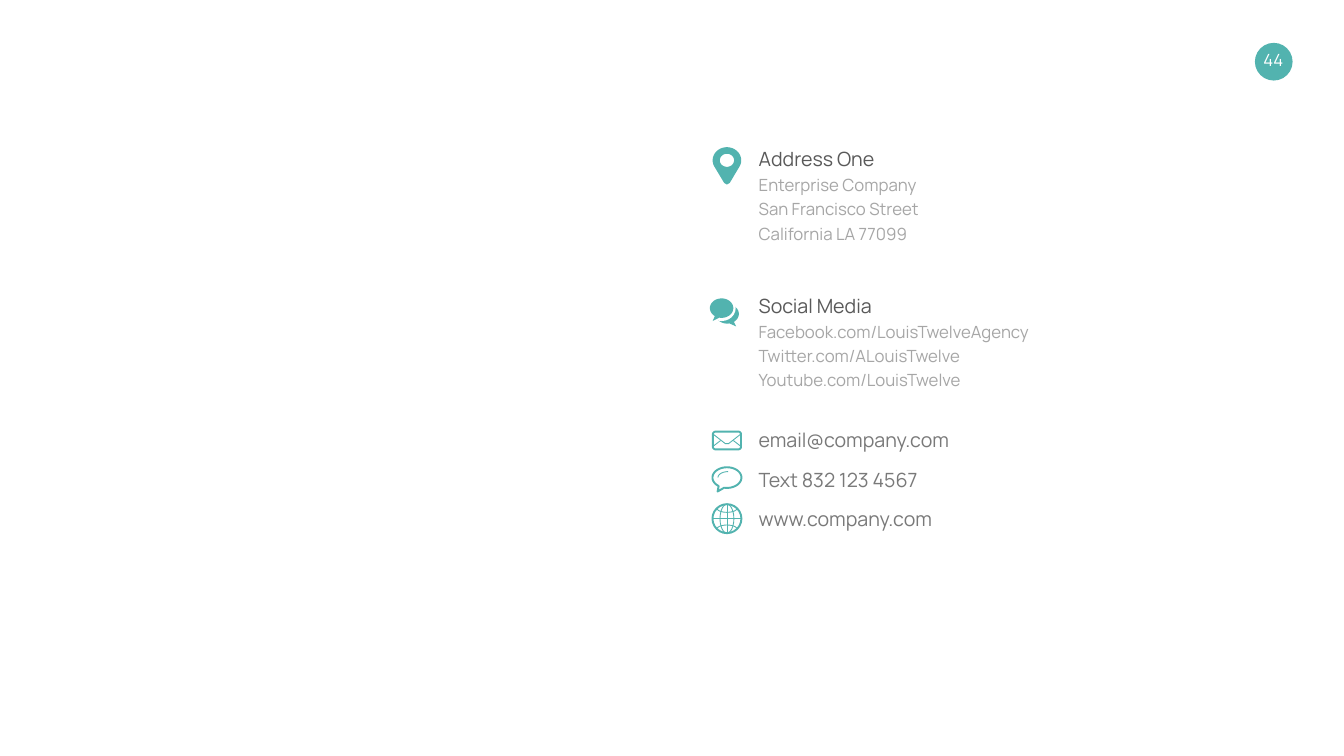
from math import cos, radians, sin

from lxml import etree
from pptx import Presentation
from pptx.dml.color import RGBColor
from pptx.enum import shapes, text
from pptx.oxml.ns import qn
from pptx.util import Cm, Pt

# Content
PAGE = "44"
BLOCKS = [
    ("Address One", "Enterprise Company", "San Francisco Street", "California LA 77099"),
    ("Social Media", "Facebook.com/LouisTwelveAgency", "Twitter.com/ALouisTwelve",
     "Youtube.com/LouisTwelve"),
]
CONTACTS = ["email@company.com", "Text 832 123 4567", "www.company.com"]

THEME = {
    "font": "Manrope",
    "accent": RGBColor(0x52, 0xB3, 0xAF),
    "white": RGBColor(0xFF, 0xFF, 0xFF),
    "heading": {"size": Pt(28), "color": RGBColor(0x59, 0x59, 0x59)},
    "detail": {"size": Pt(24), "color": RGBColor(0xA6, 0xA6, 0xA6)},
    "contact": {"size": Pt(28), "color": RGBColor(0x79, 0x79, 0x79)},
    "page": {"size": Pt(24), "color": RGBColor(0xFF, 0xFF, 0xFF)},
    "thick": Pt(2.75),
    "thin": Pt(1.25),
}
FRAME = {
    "margin_left": Cm(0.68), "margin_right": Cm(0.68),
    "margin_top": Cm(0.33), "margin_bottom": Cm(0.33),
    "word_wrap": True, "auto_size": text.MSO_AUTO_SIZE.NONE,
    "vertical_anchor": text.MSO_ANCHOR.TOP,
}

# Layout, in centimetres
TEXT_X = 37.56
BLOCK_Y, BLOCK_STEP, BLOCK_W, BLOCK_H = 6.86, 7.39, 17.04, 7.65
CONTACT_Y, CONTACT_STEP, CONTACT_W, CONTACT_H = 21.23, 2, 16.33, 2.05
ICON_X = 36.64


def set_all(target, values):
    for name, value in values.items():
        setattr(target, name, value)


def place(sp, x, y, w, h):
    set_all(sp, dict(zip(("left", "top", "width", "height"), map(Cm, (x, y, w, h)))))


def write(sp, lines, **frame):
    """Fill a frame with (string, style name) lines, without bullets."""
    tf = sp.text_frame
    set_all(tf, {**FRAME, **frame})
    for i, (line, style) in enumerate(lines):
        p = tf.paragraphs[0] if i == 0 else tf.add_paragraph()
        r = p.add_run()
        r.text = line
        set_all(r.font, {"name": THEME["font"], "size": THEME[style]["size"]})
        r.font.color.rgb = THEME[style]["color"]
        p.space_before = Pt(0)
    return tf.paragraphs


def paint(sp, fill=None, line=None):
    sp.shadow.inherit = False
    if fill is None:
        sp.fill.background()
    else:
        sp.fill.solid()
        sp.fill.fore_color.rgb = fill
    if line is None:
        sp.line.fill.background()
    else:
        sp.line.color.rgb = THEME["accent"]
        sp.line.width = line


def preset(s, kind, x, y, w, h, **look):
    sp = s.shapes.add_shape(kind, Cm(x), Cm(y), Cm(w), Cm(h))
    paint(sp, **look)
    return sp


def ellipse(s, cx, cy, rx, ry, **look):
    return preset(s, shapes.MSO_SHAPE.OVAL, cx - rx, cy - ry, 2 * rx, 2 * ry, **look)


def arc(cx, cy, rx, ry, start, end, steps=48):
    """Points along an ellipse; degrees run clockwise from the right."""
    angles = [radians(start + (end - start) * i / steps) for i in range(steps + 1)]
    return [(cx + rx * cos(a), cy + ry * sin(a)) for a in angles]


def outline(s, *contours, close=True, **look):
    scaled = [[(Cm(x), Cm(y)) for x, y in c] for c in contours]
    builder = s.shapes.build_freeform(*scaled[0][0])
    for i, points in enumerate(scaled):
        if i:
            builder.move_to(*points[0])
        builder.add_line_segments(points[1:], close=close)
    paint(builder.convert_to_shape(), **look)


def straight(s, x1, y1, x2, y2):
    c = s.shapes.add_connector(shapes.MSO_CONNECTOR.STRAIGHT, Cm(x1), Cm(y1), Cm(x2), Cm(y2))
    c.line.color.rgb = THEME["accent"]
    c.line.width = THEME["thin"]
    etree.SubElement(c._element.spPr, qn("a:effectLst"))


def pin(s, cx, cy):
    tip = [(cx + 0.14, cy + 1.14), (cx, cy + 1.22), (cx - 0.14, cy + 1.14)]
    outline(s, arc(cx, cy, 0.72, 0.66, 150, 390) + tip,
            arc(cx, cy, 0.36, 0.33, 360, 0), fill=THEME["accent"])


def chat(s, cx, cy):
    rx, ry = 0.59, 0.49
    bx, by = cx + 0.28, cy + 0.29
    outline(s, arc(bx, by, rx, ry, 79, 415) + [(bx + 0.45, by + 0.63)], fill=THEME["accent"])
    ellipse(s, cx, cy, rx + 0.12, ry + 0.16, fill=THEME["white"])
    outline(s, arc(cx, cy, rx, ry, 125, 461) + [(cx - 0.45, cy + 0.65)], fill=THEME["accent"])


def envelope(s, cx, cy):
    w, h = 1.42, 0.9
    sp = preset(s, shapes.MSO_SHAPE.ROUNDED_RECTANGLE, cx - w / 2, cy - h / 2, w, h,
                line=THEME["thick"])
    sp.adjustments[0] = 0.15
    outline(s, [(cx - 0.67, cy - 0.3), (cx - 0.08, cy + 0.16), (cx + 0.08, cy + 0.16),
                (cx + 0.67, cy - 0.3)], close=False, line=THEME["thin"])
    for side in (-1, 1):
        straight(s, cx + side * 0.67, cy + 0.27, cx + side * 0.32, cy)


def speech(s, cx, cy):
    outline(s, arc(cx, cy, 0.73, 0.52, 125, 461) + [(cx - 0.47, cy + 0.7)],
            line=THEME["thick"])
    outline(s, arc(cx + 0.06, cy, 0.51, 0.3, 180, 270), close=False, line=THEME["thin"])


def globe(s, cx, cy):
    radius = 0.73
    ellipse(s, cx, cy, radius, radius, line=THEME["thick"])
    ellipse(s, cx, cy, 0.35, radius, line=THEME["thin"])
    straight(s, cx - radius, cy, cx + radius, cy)
    straight(s, cx, cy - radius, cx, cy + radius)
    for side in (-1, 1):
        outline(s, arc(cx, cy + side * 0.52, 0.5, 0.2, -side * 10, -side * 170),
                close=False, line=THEME["thin"])


def main():
    prs = Presentation()
    prs.slide_width, prs.slide_height = Cm(67.74), Cm(38.1)
    s = prs.slides.add_slide(prs.slide_layouts.get_by_name("Two Content"))
    title, *bodies = s.placeholders
    title._element.getparent().remove(title._element)

    ellipse(s, 64.2, 3.11, 0.95, 0.95, fill=THEME["accent"])
    number = s.shapes.add_textbox(Cm(62.69), Cm(1.98), Cm(2.97), Cm(2.03))
    p, = write(number, [(PAGE, "page")], vertical_anchor=text.MSO_ANCHOR.MIDDLE)
    p.alignment = text.PP_ALIGN.CENTER

    for i, (body, (heading, *details)) in enumerate(zip(bodies, BLOCKS)):
        place(body, TEXT_X, BLOCK_Y + i * BLOCK_STEP, BLOCK_W, BLOCK_H)
        for p in write(body, [(heading, "heading")] + [(d, "detail") for d in details]):
            p.line_spacing = 1.2
            pPr = p._p.get_or_add_pPr()
            pPr.set("marL", "0")
            pPr.set("indent", "0")
            etree.SubElement(pPr, qn("a:buNone"))

    for i, contact in enumerate(CONTACTS):
        box = s.shapes.add_textbox(Cm(TEXT_X), Cm(CONTACT_Y + i * CONTACT_STEP),
                                   Cm(CONTACT_W), Cm(CONTACT_H))
        write(box, [(contact, "contact")])

    icons = [(pin, ICON_X, 8.08), (chat, 36.37, 15.53), (envelope, ICON_X, 22.2),
             (speech, ICON_X, 24.07), (globe, ICON_X, 26.14)]
    for draw, cx, cy in icons:
        draw(s, cx, cy)
    prs.save("out.pptx")


if __name__ == "__main__":
    main()
